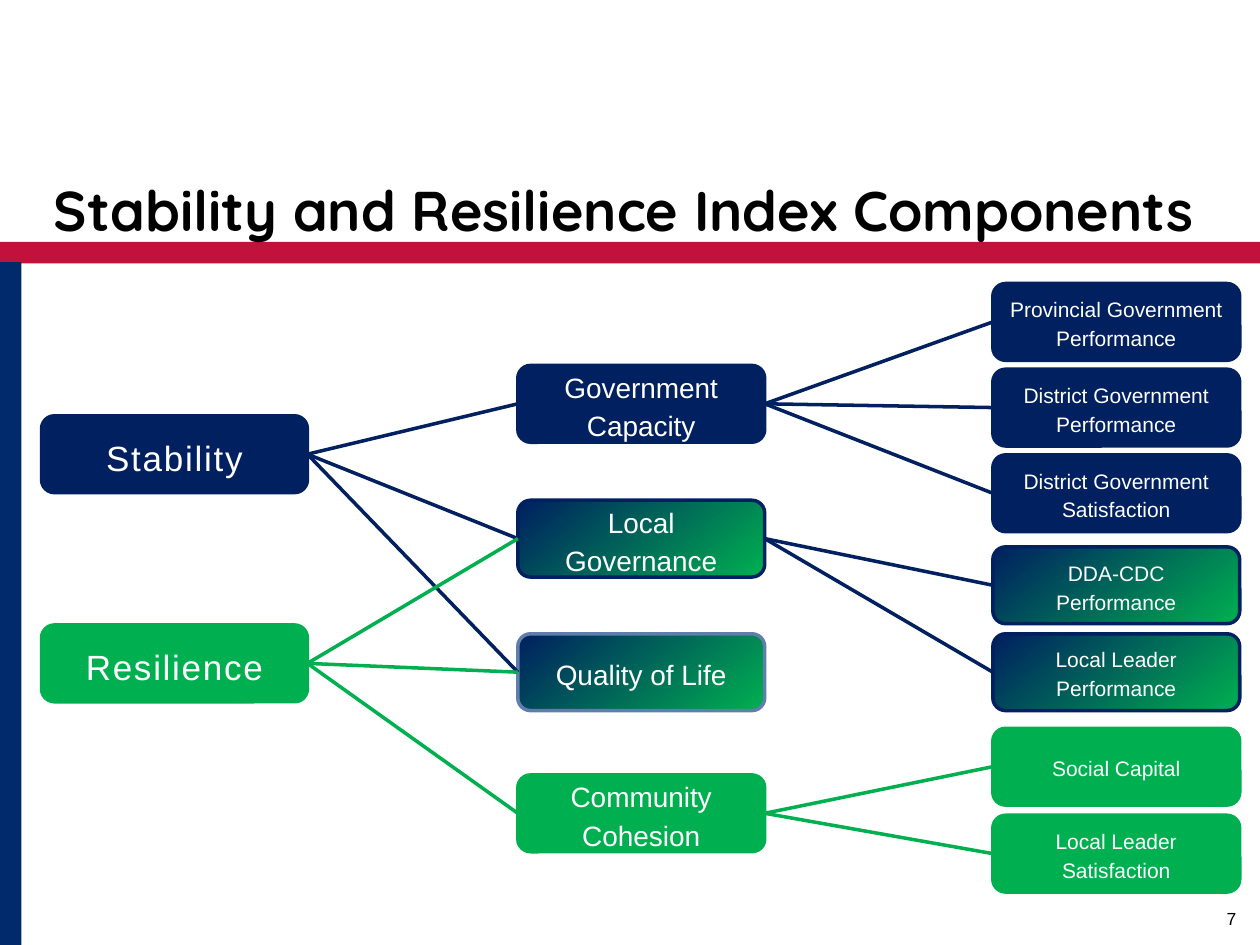
from lxml import etree
from pptx import Presentation
from pptx.dml.color import RGBColor
from pptx.enum.shapes import MSO_CONNECTOR, MSO_SHAPE
from pptx.enum.text import MSO_ANCHOR, PP_ALIGN
from pptx.oxml.ns import qn
from pptx.util import Inches, Pt

RECT, ROUND = MSO_SHAPE.RECTANGLE, MSO_SHAPE.ROUNDED_RECTANGLE
STRAIGHT = MSO_CONNECTOR.STRAIGHT
LEFT, CENTER, RIGHT = PP_ALIGN.LEFT, PP_ALIGN.CENTER, PP_ALIGN.RIGHT
LEFT_SIDE, RIGHT_SIDE = 1, 3

NAVY, GREEN, STEEL = "002060", "00B050", "5F7EAB"
RED, BLUE, WHITE, BLACK = "C2113A", "002A6C", "FFFFFF", "000000"
MIXED = (NAVY, GREEN)
BOX_HEIGHT = 0.61

# Column: left, width, text size, letter spacing in points
COLUMNS = {
    "index": (0.33, 2.11, 20, 1),
    "component": (4.11, 1.96, 16, 0),
    "measure": (7.88, 1.96, 12, 0),
}

# Column, text, top, fill, line
BOXES = [
    ("index", "Stability", 3.3, NAVY, NAVY),
    ("index", "Resilience", 4.96, GREEN, GREEN),
    ("component", "Government Capacity", 2.9, NAVY, NAVY),
    ("component", "Local Governance", 3.97, MIXED, NAVY),
    ("component", "Quality of Life", 5.03, MIXED, STEEL),
    ("component", "Community Cohesion", 6.15, GREEN, GREEN),
    ("measure", "Provincial Government Performance", 2.25, NAVY, NAVY),
    ("measure", "District Government Performance", 2.93, NAVY, NAVY),
    ("measure", "District Government Satisfaction", 3.61, NAVY, NAVY),
    ("measure", "DDA-CDC Performance", 4.34, MIXED, NAVY),
    ("measure", "Local Leader Performance", 5.03, MIXED, NAVY),
    ("measure", "Social Capital", 5.78, GREEN, GREEN),
    ("measure", "Local Leader Satisfaction", 6.47, GREEN, GREEN),
]

# Parent, line colour, children
LINKS = [
    ("Stability", NAVY,
     ["Government Capacity", "Local Governance", "Quality of Life"]),
    ("Resilience", GREEN,
     ["Local Governance", "Quality of Life", "Community Cohesion"]),
    ("Government Capacity", NAVY,
     ["Provincial Government Performance", "District Government Performance",
      "District Government Satisfaction"]),
    ("Local Governance", NAVY,
     ["DDA-CDC Performance", "Local Leader Performance"]),
    ("Community Cohesion", GREEN,
     ["Social Capital", "Local Leader Satisfaction"]),
]


def rgb(value):
    return RGBColor.from_string(value)


def write(tf, text, size=12, color=BLACK, font="Arial", bold=False,
          align=LEFT, line_spacing=None, letter_spacing=0):
    tf.word_wrap = True
    p = tf.paragraphs[0]
    p.alignment = align
    if line_spacing:
        p.line_spacing = line_spacing
    r = p.add_run()
    r.text = text
    r.font.name, r.font.size, r.font.bold = font, Pt(size), bold
    r.font.color.rgb = rgb(color)
    if letter_spacing:
        r.font._element.set("spc", str(letter_spacing * 100))


class SlideBuilder:
    """Holds the current slide and the line width of its diagram."""

    def __init__(self, slide, line_width=2):
        self.shapes = slide.shapes
        self.line_width = Pt(line_width)

    def shape(self, kind, left, top, width, height, fill, line=None):
        """Add a shape; a pair of colours as fill makes a gradient."""
        sp = self.shapes.add_shape(kind, Inches(left), Inches(top),
                                   Inches(width), Inches(height))
        sp.shadow.inherit = False
        if isinstance(fill, tuple):
            sp.fill.gradient()
            sp.fill.gradient_angle = 310
            for stop, color in zip(sp.fill.gradient_stops, fill):
                stop.color.rgb = rgb(color)
        else:
            sp.fill.solid()
            sp.fill.fore_color.rgb = rgb(fill)
        if line:
            sp.line.color.rgb = rgb(line)
            sp.line.width = self.line_width
        else:
            sp.line.fill.background()
        return sp

    def box(self, column, text, top, fill, line):
        left, width, size, letter_spacing = COLUMNS[column]
        sp = self.shape(ROUND, left, top, width, BOX_HEIGHT, fill, line)
        sp.text_frame.vertical_anchor = MSO_ANCHOR.MIDDLE
        write(sp.text_frame, text, size=size, color=WHITE, align=CENTER,
              line_spacing=1.15, letter_spacing=letter_spacing)
        return sp

    def link(self, parent, child, color):
        """Join the right side of parent to the left side of child."""
        line = self.shapes.add_connector(STRAIGHT, 0, 0, 0, 0)
        line.begin_connect(parent, RIGHT_SIDE)
        line.end_connect(child, LEFT_SIDE)
        line.line.color.rgb = rgb(color)
        line.line.width = self.line_width
        etree.SubElement(line._element.spPr, qn("a:effectLst"))

    def text(self, left, top, width, height, text, **style):
        sp = self.shapes.add_textbox(Inches(left), Inches(top),
                                     Inches(width), Inches(height))
        write(sp.text_frame, text, **style)


def main():
    prs = Presentation()
    prs.slide_width, prs.slide_height = Inches(10), Inches(7.5)
    s = SlideBuilder(prs.slides.add_slide(prs.slide_layouts[6]))

    s.shape(RECT, 0, 1.92, 10, 0.17, RED)
    s.shape(RECT, 0, 2.08, 0.17, 5.42, BLUE)
    s.text(9.33, 7.16, 0.58, 0.25, "7", size=10, align=RIGHT)

    boxes = {box[1]: s.box(*box) for box in BOXES}
    for parent, color, children in LINKS:
        for child in children:
            s.link(boxes[parent], boxes[child], color)

    s.text(0.33, 1.34, 9.67, 0.64, "Stability and Resilience Index Components",
           size=32, font="Quicksand", bold=True)
    prs.save("out.pptx")


if __name__ == "__main__":
    main()
